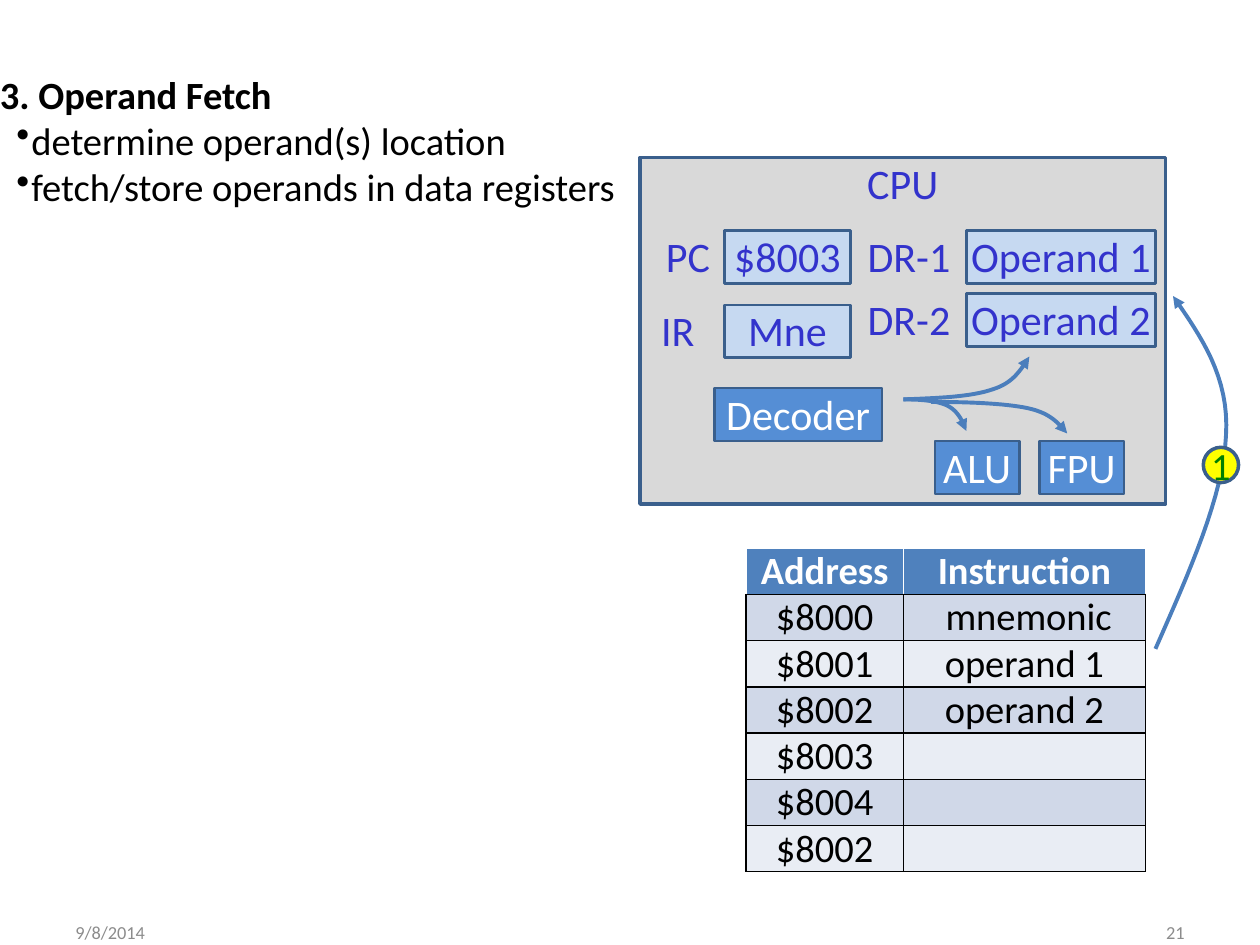
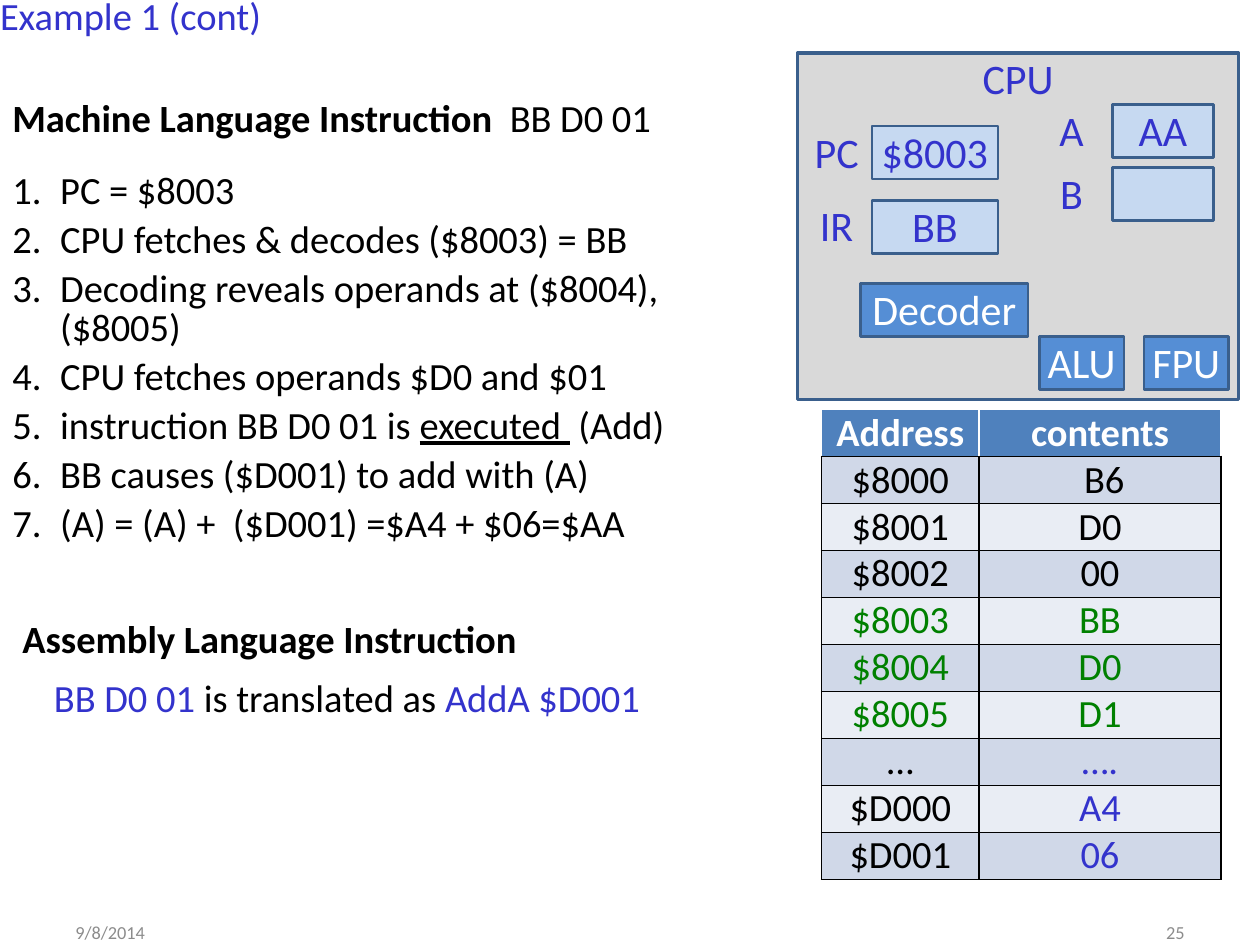
from dataclasses import dataclass
from typing import NamedTuple

from lxml.etree import SubElement as sub
from pptx import Presentation
from pptx.dml.color import RGBColor
from pptx.enum.shapes import MSO_SHAPE as Kind
from pptx.enum.text import MSO_ANCHOR as Anchor, PP_ALIGN as Align
from pptx.oxml import parse_xml
from pptx.oxml.ns import nsdecls, qn
from pptx.util import Inches, Pt

BLACK = RGBColor(0x00, 0x00, 0x00)
WHITE = RGBColor(0xFF, 0xFF, 0xFF)
BLUE = RGBColor(0x33, 0x33, 0xCC)
GREEN = RGBColor(0x00, 0x80, 0x00)
YELLOW = RGBColor(0xFF, 0xFF, 0x00)
GREY = RGBColor(0xD9, 0xD9, 0xD9)
MUTED = RGBColor(0x8C, 0x8C, 0x8C)
PALE = RGBColor(0xC6, 0xD9, 0xF1)
MID = RGBColor(0x55, 0x8E, 0xD5)
EDGE = RGBColor(0x3A, 0x5F, 0x8C)
CURVE = RGBColor(0x4B, 0x7E, 0xBC)
HEAD = RGBColor(0x4F, 0x81, 0xBD)
BANDS = (RGBColor(0xD0, 0xD8, 0xE8), RGBColor(0xE9, 0xED, 0xF4))
FONT = "Calibri"
HIGH = 0.42
MARGINS = {"margin_left": 0, "margin_right": 0, "margin_top": 0, "margin_bottom": 0}


@dataclass
class Run:
    text: str
    ink: RGBColor = BLACK
    bold: bool = False
    line: bool = False
    size: float = 22


@dataclass
class Para:
    runs: list
    align: Align = Align.LEFT
    mark: str = ""
    hang: tuple = (0, 0)
    lead: float = 0
    gap: float = 0


class Look(NamedTuple):
    fill: RGBColor
    ink: RGBColor
    edge: float
    size: float = 24


class Box(NamedTuple):
    text: str
    left: float
    top: float
    width: float
    look: Look


class Row(NamedTuple):
    place: str
    data: str
    ink: RGBColor = BLACK
    tint: RGBColor = BLACK


PANEL = Look(GREY, BLUE, 2)
LABEL = Look(GREY, BLUE, 0)
STORE = Look(PALE, BLUE, 1.5)
UNIT = Look(MID, WHITE, 1.5)
BADGE = Look(YELLOW, GREEN, 2, 22)


def apply(target, values: dict) -> None:
    for name, value in values.items():
        setattr(target, name, value)


def write(frame, paras: list) -> None:
    for i, para in enumerate(paras):
        p = frame.add_paragraph() if i else frame.paragraphs[0]
        p.alignment = para.align
        if para.mark:
            props = p._p.get_or_add_pPr()
            left, indent = para.hang
            props.set("marL", str(Inches(left)))
            props.set("indent", str(Inches(indent)))
            if para.mark == "1.":
                sub(props, qn("a:buAutoNum"), type="arabicPeriod")
            else:
                sub(props, qn("a:buChar"), char=para.mark)
        if para.lead:
            p.line_spacing = Pt(para.lead)
        if para.gap and i:
            p.space_before = Pt(para.gap)
        for part in para.runs:
            run = p.add_run()
            run.text = part.text
            apply(run.font, {"name": FONT, "size": Pt(part.size),
                             "bold": part.bold, "underline": part.line})
            run.font.color.rgb = part.ink


def note(slide, left: float, top: float, width: float, height: float,
         paras: list, flush: bool = False, anchor: Anchor = Anchor.TOP) -> None:
    shape = slide.shapes.add_textbox(*map(Inches, (left, top, width, height)))
    frame = shape.text_frame
    apply(frame, {"word_wrap": True, "vertical_anchor": anchor})
    if flush:
        apply(frame, MARGINS)
    write(frame, paras)


def draw(slide, box: Box, height: float = HIGH, kind: Kind = Kind.RECTANGLE,
         anchor: Anchor = Anchor.TOP) -> None:
    look = box.look
    shape = slide.shapes.add_shape(
        kind, *map(Inches, (box.left, box.top, box.width, height)))
    shape.shadow.inherit = False
    shape.fill.solid()
    shape.fill.fore_color.rgb = look.fill
    if look.edge:
        shape.line.color.rgb = EDGE
        shape.line.width = Pt(look.edge)
    else:
        shape.line.fill.background()
    apply(shape.text_frame, {**MARGINS, "vertical_anchor": anchor})
    if box.text:
        run = Run(box.text, look.ink, size=look.size)
        write(shape.text_frame, [Para([run], Align.CENTER)])


def panel(slide, left: float, top: float, width: float, boxes: list,
          code: str, store: float, core: float, math: float) -> None:
    draw(slide, Box("CPU", left, top, width, PANEL), 2.75)
    shared = [
        Box("$8003", store, top + 0.58, 1, STORE),
        Box(code, store, top + 1.17, 1, STORE),
        Box("Decoder", core, top + 1.83, 1.33, UNIT),
        Box("ALU", math, top + 2.25, 0.67, UNIT),
        Box("FPU", math + 0.83, top + 2.25, 0.67, UNIT),
    ]
    for box in shared + boxes:
        draw(slide, box)


def grid(slide, left: float, top: float, height: float, title: str,
         rows: list) -> None:
    count = len(rows) + 1
    frame = slide.shapes.add_table(
        count, 2, *map(Inches, (left, top, 3.17, height)))
    table = frame.table
    apply(table, {"first_row": False, "horz_banding": False})
    for col, width in zip(table.columns, (1.25, 1.92)):
        col.width = Inches(width)
    for row in table.rows:
        row.height = Inches(height / count)
    lines = [Row("Address", title, WHITE, WHITE)] + rows
    for i, row in enumerate(lines):
        fill = BANDS[(i - 1) % 2] if i else HEAD
        for j, (text, ink) in enumerate(((row.place, row.ink), (row.data, row.tint))):
            cell = table.cell(i, j)
            cell.fill.solid()
            cell.fill.fore_color.rgb = fill
            apply(cell, MARGINS)
            if text:
                write(cell.text_frame,
                      [Para([Run(text, ink, bold=i == 0)], Align.CENTER)])
            props = cell._tc.get_or_add_tcPr()
            for k, side in enumerate("LRTB"):
                tone = BLACK if i or side == "B" else WHITE
                props.insert(k, parse_xml(
                    f'<a:ln{side} {nsdecls("a")} w="{Pt(1)}"><a:solidFill>'
                    f'<a:srgbClr val="{tone}"/></a:solidFill></a:ln{side}>'))


def bend(points: list, steps: int = 16) -> list:
    spots = [points[0]]
    for n in range(0, len(points) - 1, 3):
        a, b, c, d = points[n:n + 4]
        for step in range(1, steps + 1):
            t = step / steps
            u = 1 - t
            spots.append(tuple(
                u**3 * a[m] + 3 * u * u * t * b[m] + 3 * u * t * t * c[m] + t**3 * d[m]
                for m in (0, 1)))
    return [(Inches(x), Inches(y)) for x, y in spots]


def arrow(slide, points: list) -> None:
    first, *rest = bend(points)
    form = slide.shapes.build_freeform(*first)
    form.add_line_segments(rest, close=False)
    shape = form.convert_to_shape()
    shape.shadow.inherit = False
    shape.fill.background()
    shape.line.color.rgb = CURVE
    shape.line.width = Pt(2.25)
    sub(shape.line._get_or_add_ln(), qn("a:tailEnd"), type="triangle")


def foot(slide, page: int) -> None:
    for left, text, align in ((0.5, "9/8/2014", Align.LEFT),
                              (7.17, str(page), Align.RIGHT)):
        note(slide, left, 7.31, 2.33, 0.18,
             [Para([Run(text, MUTED, size=10.5)], align)], anchor=Anchor.MIDDLE)


def fetch(slide) -> None:
    boxes = [Box("PC", 5.25, 1.83, HIGH, LABEL), Box("IR", 5.17, 2.42, HIGH, LABEL)]
    for n in (1, 2):
        top = 1.33 + 0.5 * n
        boxes += [Box(f"DR-{n}", 6.88, top, 0.67, LABEL),
                  Box(f"Operand {n}", 7.67, top, 1.5, STORE)]
    panel(slide, 5.08, 1.25, 4.17, boxes, "Mne", 5.75, 5.67, 7.42)
    points = ("determine operand(s) location", "fetch/store operands in data registers")
    note(slide, 0, 0.56, 5.17, 1.11,
         [Para([Run("3. Operand Fetch", bold=True)])]
         + [Para([Run(text)], mark="•", hang=(0.25, -0.12)) for text in points],
         flush=True)
    grid(slide, 5.92, 4.35, 2.57, "Instruction", [
        Row("$8000", " mnemonic"), Row("$8001", "operand 1"),
        Row("$8002", "operand 2"), Row("$8003", ""),
        Row("$8004", ""), Row("$8002", "")])
    curves = [
        [(7.17, 3.17), (7.3, 3.17), (7.44, 3.18), (7.52, 3.22),
         (7.6, 3.26), (7.64, 3.34), (7.67, 3.42)],
        [(7.39, 3.19), (7.68, 3.19), (7.97, 3.2), (8.16, 3.24),
         (8.34, 3.28), (8.4, 3.36), (8.47, 3.44)],
        [(7.17, 3.17), (7.44, 3.16), (7.71, 3.15), (7.88, 3.09),
         (8.04, 3.04), (8.1, 2.94), (8.17, 2.83)],
        [(9.17, 5.15), (9.44, 4.54), (9.71, 3.93), (9.73, 3.46),
         (9.76, 2.99), (9.53, 2.67), (9.31, 2.35)],
    ]
    for curve in curves:
        arrow(slide, curve)
    draw(slide, Box("1", 9.55, 3.55, 0.28, BADGE), 0.28, Kind.OVAL, Anchor.MIDDLE)
    foot(slide, 21)


def sample(slide) -> None:
    boxes = [Box("PC", 6.43, 1, HIGH, LABEL), Box("IR", 6.43, 1.58, HIGH, LABEL)]
    for n, (name, value) in enumerate((("A", "AA"), ("B", ""))):
        top = 0.83 + 0.5 * n
        boxes += [Box(name, 8.17, top, 0.67, LABEL),
                  Box(value, 8.83, top, 0.8, STORE)]
    panel(slide, 6.33, 0.42, 3.5, boxes, "BB", 6.92, 6.83, 8.25)
    grid(slide, 6.52, 3.25, 3.73, "contents", [
        Row("$8000", " B6"), Row("$8001", "D0"), Row("$8002", "00"),
        Row("$8003", "BB", GREEN, GREEN), Row("$8004", "D0", GREEN, GREEN),
        Row("$8005", "D1", GREEN, GREEN), Row("…", "….", tint=BLUE),
        Row("$D000", "A4", tint=BLUE), Row("$D001", "06", tint=BLUE)])
    steps = [
        [Run("PC = $8003")],
        [Run("CPU fetches & decodes ($8003) = BB")],
        [Run("Decoding reveals operands at ($8004),($8005)")],
        [Run("CPU fetches operands $D0 and $01")],
        [Run("instruction BB D0 01 is "), Run("executed ", line=True), Run(" (Add)")],
        [Run("BB causes ($D001) to add with (A)")],
        [Run("(A) = (A) +  ($D001) =$A4 + $06=$AA")],
    ]
    note(slide, 0, 1.33, 6.17, 3.07,
         [Para(runs, mark="1.", hang=(0.38, -0.38), lead=22, gap=6) for runs in steps])
    note(slide, 0, 0, 7.08, 0.31,
         [Para([Run("Example 1 (cont)", BLUE)], lead=22)], flush=True)
    lines = [
        (0, 0.7, 6.17, [Run("Machine Language Instruction ", bold=True),
                        Run(" BB D0 01")]),
        (0.33, 5.3, 5.17, [Run("BB D0 01", BLUE), Run(" is translated as "),
                           Run("AddA $D001", BLUE)]),
        (0.08, 4.83, 6.17, [Run("Assembly Language Instruction", bold=True)]),
    ]
    for left, top, width, runs in lines:
        note(slide, left, top, width, 0.47, [Para(runs)])
    foot(slide, 25)


def main() -> None:
    deck = Presentation()
    apply(deck, {"slide_width": Inches(10), "slide_height": Inches(7.5)})
    for build in (fetch, sample):
        build(deck.slides.add_slide(deck.slide_layouts[6]))
    deck.save("out.pptx")


if __name__ == "__main__":
    main()
